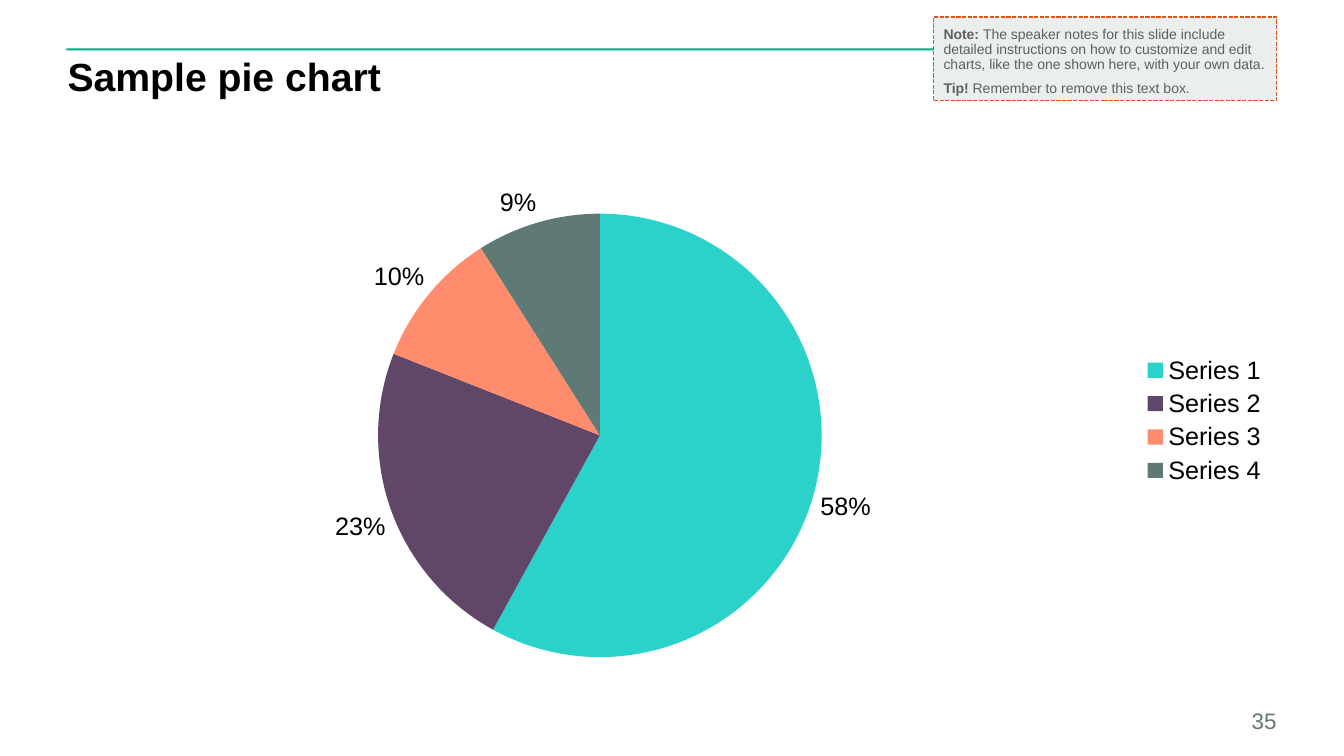
"""Build a slide with a pie chart, a legend and an editing note."""
from pptx import Presentation, util as u
from pptx.chart.data import CategoryChartData
from pptx.dml.color import RGBColor
from pptx.enum import chart as ch, dml, shapes, text
from pptx.oxml import parse_xml
from pptx.oxml.ns import nsdecls


def color(value):
    """Turn a hex string into a colour."""
    return RGBColor.from_string(value)


def set_font(font, size, value, bold=False):
    """Apply the slide's typeface with a size, colour and weight."""
    font.name, font.size, font.bold = "Arial", u.Pt(size), bold
    font.color.rgb = color(value)


deck = Presentation()
deck.slide_width, deck.slide_height = u.Inches(13.33), u.Inches(7.5)
page = deck.slides.add_slide(deck.slide_layouts[6])

rule = page.shapes.add_shape(
    shapes.MSO_SHAPE.RECTANGLE,
    u.Inches(0.66), u.Inches(0.48), u.Inches(12), u.Inches(0.02))
rule.shadow.inherit = False
rule.fill.solid()
rule.fill.fore_color.rgb = color("00A982")
rule.line.fill.background()

labels = [
    ("Sample pie chart", 0.67, 0.57, 12, 0.93, 28, "000000", True,
     text.PP_ALIGN.LEFT, text.MSO_ANCHOR.TOP),
    ("35", 12.08, 7.03, 0.58, 0.25, 16, "5F7A76", False,
     text.PP_ALIGN.RIGHT, text.MSO_ANCHOR.BOTTOM),
]
for words, left, top, width, height, size, ink, bold, align, anchor in labels:
    box = page.shapes.add_textbox(
        u.Inches(left), u.Inches(top), u.Inches(width), u.Inches(height))
    frame = box.text_frame
    frame.word_wrap = True
    frame.vertical_anchor = anchor
    frame.margin_left = frame.margin_right = 0
    frame.margin_top = frame.margin_bottom = 0
    para = frame.paragraphs[0]
    para.text = words
    para.alignment = align
    para.line_spacing = 0.9 if bold else 1.0
    set_font(para.font, size, ink, bold)

slices = [
    ("Series 1", 58, "2AD2C9"),
    ("Series 2", 23, "614767"),
    ("Series 3", 10, "FF8D6D"),
    ("Series 4", 9, "5F7A76"),
]
data = CategoryChartData()
data.categories = [name for name, share, fill in slices]
data.add_series("Series 1", [share for name, share, fill in slices])
pie = page.shapes.add_chart(
    ch.XL_CHART_TYPE.PIE, u.Inches(0.67), u.Inches(1.67),
    u.Inches(12), u.Inches(5), data).chart
set_font(pie.font, 18, "000000")
pie.has_title = False
pie.has_legend = True
pie.legend.position = ch.XL_LEGEND_POSITION.RIGHT
pie.legend.include_in_layout = False

plot = pie.plots[0]
plot.vary_by_categories = True
plot.has_data_labels = True
tags = plot.data_labels
tags.show_percentage, tags.show_value = True, False
tags.number_format, tags.number_format_is_linked = "0%", False
tags.position = ch.XL_LABEL_POSITION.OUTSIDE_END
set_font(tags.font, 18, "000000")
for index, (name, share, fill) in enumerate(slices):
    wedge = plot.series[0].points[index].format
    wedge.fill.solid()
    wedge.fill.fore_color.rgb = color(fill)
    wedge.line.fill.background()

area = pie.element.chart.plotArea
for old in area.findall("{*}layout"):
    area.remove(old)
layout = parse_xml(
    f'<c:layout {nsdecls("c")}><c:manualLayout><c:layoutTarget val="inner"/>'
    '<c:xMode val="edge"/><c:yMode val="edge"/><c:x val="0.25"/>'
    '<c:y val="0.09"/><c:w val="0.38"/><c:h val="0.88"/>'
    '</c:manualLayout></c:layout>')
area.insert(0, layout)

note = page.shapes.add_shape(
    shapes.MSO_SHAPE.RECTANGLE,
    u.Inches(9.26), u.Inches(0.17), u.Inches(3.4), u.Inches(0.83))
note.shadow.inherit = False
note.fill.solid()
note.fill.fore_color.rgb = color("EAEEEF")
note.line.color.rgb = color("D9541E")
note.line.width = u.Pt(1)
note.line.dash_style = dml.MSO_LINE.SQUARE_DOT
frame = note.text_frame
frame.word_wrap = True
frame.vertical_anchor = text.MSO_ANCHOR.TOP
frame.margin_left = frame.margin_right = u.Inches(0.1)
frame.margin_top = frame.margin_bottom = u.Inches(0.1)
messages = [
    ("Note: ", "The speaker notes for this slide include detailed instructions "
     "on how to customize and edit charts, like the one shown here, "
     "with your own data."),
    ("Tip! ", "Remember to remove this text box."),
]
for index, (lead, words) in enumerate(messages):
    para = frame.add_paragraph() if index else frame.paragraphs[0]
    para.alignment = text.PP_ALIGN.LEFT
    para.line_spacing = 0.9
    para.space_before = u.Pt(6)
    for part, bold in ((lead, True), (words, False)):
        span = para.add_run()
        span.text = part
        set_font(span.font, 10, "5F5F5F", bold)

deck.save("out.pptx")
